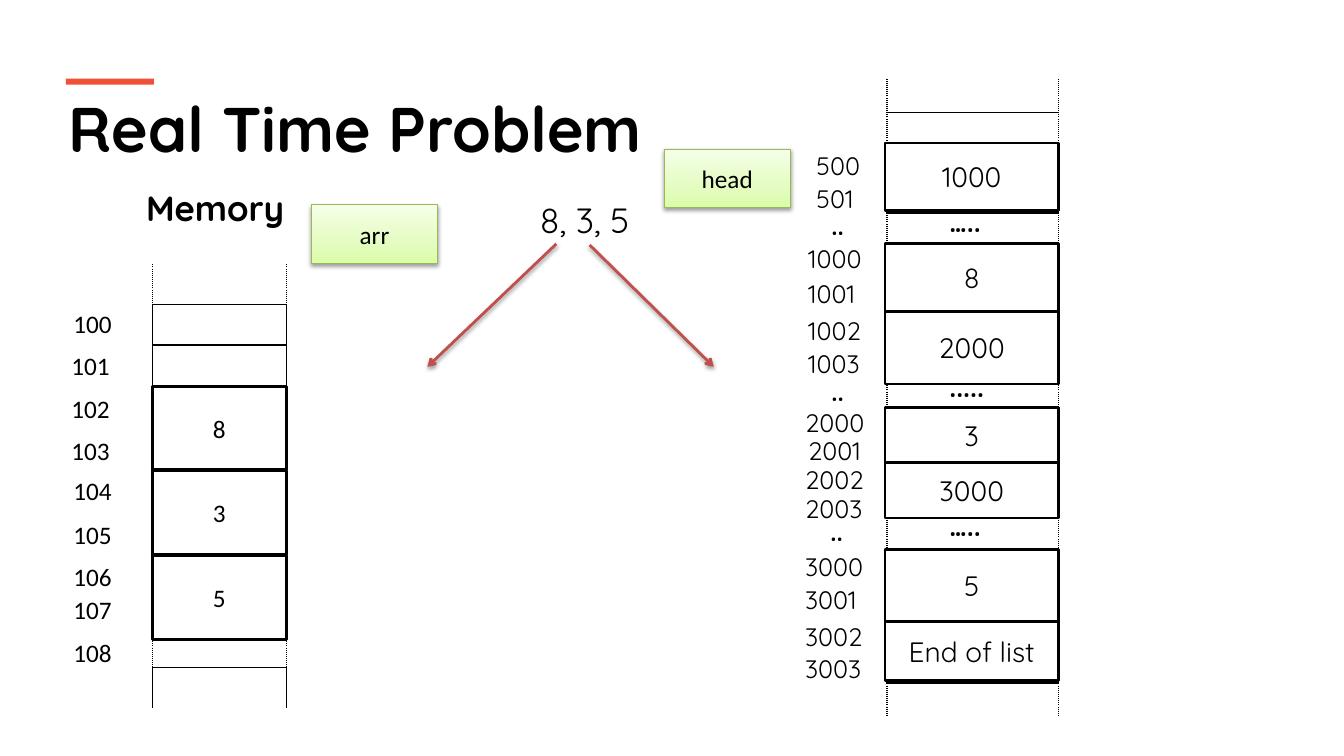
"""Build a slide comparing array and linked-list storage in memory."""
from dataclasses import dataclass

from lxml import etree
from pptx import Presentation
from pptx import util as u
from pptx.dml.color import RGBColor
from pptx.enum import shapes, text
from pptx.oxml import parse_xml
from pptx.oxml.ns import nsdecls, qn

COLORS = {"ink": "000000", "paper": "FFFFFF", "accent": "F05136", "arrow": "C0504D",
          "edge": "98B955", "lime": "DAFDA7", "mid": "E4FCC2", "pale": "F5FFE7"}
DISPLAY, BODY = "Quicksand", "Calibri"


@dataclass
class Label:
    text: str
    x: float
    y: float
    w: float
    h: float = 28.8
    size: float = 18
    font: str = DISPLAY
    bold: bool = False
    wrap: bool = False
    align: text.PP_ALIGN = text.PP_ALIGN.LEFT


@dataclass
class Box:
    text: str
    x: float
    y: float
    w: float
    h: float
    size: float = 18
    font: str = BODY
    fill: str = "paper"
    line: str = "ink"
    weight: float = 2
    glow: bool = False


@dataclass
class Column:
    x: float
    y: float
    w: float
    row_h: float
    rows: int
    framed: range
    dotted: tuple


@dataclass
class Arrow:
    x1: float
    y1: float
    x2: float
    y2: float


def rgb(name: str) -> RGBColor:
    return RGBColor.from_string(COLORS[name])


def pts(*values: float) -> list:
    return [u.Pt(v) for v in values]


def apply(target: object, values: dict) -> None:
    for key, value in values.items():
        setattr(target, key, value)


def write(tf, item, align) -> None:
    p = tf.paragraphs[0]
    p.alignment = align
    r = p.add_run()
    r.text = item.text
    apply(r.font, {"size": u.Pt(item.size), "name": item.font,
                   "bold": getattr(item, "bold", False)})
    r.font.color.rgb = rgb("ink")


def add_label(s, d: Label) -> None:
    tf = s.shapes.add_textbox(*pts(d.x, d.y, d.w, d.h)).text_frame
    apply(tf, {"word_wrap": d.wrap, "auto_size": text.MSO_AUTO_SIZE.SHAPE_TO_FIT_TEXT})
    write(tf, d, d.align)


def add_shadow(sp) -> None:
    sp._element.spPr.append(parse_xml(
        f'<a:effectLst {nsdecls("a")}><a:outerShdw blurRad="{u.Pt(3.1)}" dist="{u.Pt(1.6)}" '
        'dir="5400000" rotWithShape="0"><a:srgbClr val="000000"><a:alpha val="38000"/>'
        '</a:srgbClr></a:outerShdw></a:effectLst>'))


def add_gradient(sp) -> None:
    sp.fill.gradient()
    sp.fill.gradient_angle = 90
    stops = sp._element.spPr.find(".//" + qn("a:gsLst"))
    for stop in list(stops):
        stops.remove(stop)
    for pos, name in ((0, "lime"), (35, "mid"), (100, "pale")):
        gs = etree.SubElement(stops, qn("a:gs"), pos=str(pos * 1000))
        etree.SubElement(gs, qn("a:srgbClr"), val=COLORS[name])


def add_box(s, d: Box) -> None:
    sp = s.shapes.add_shape(shapes.MSO_SHAPE.RECTANGLE, *pts(d.x, d.y, d.w, d.h))
    if d.glow:
        add_gradient(sp)
    else:
        sp.fill.solid()
        sp.fill.fore_color.rgb = rgb(d.fill)
    if d.weight:
        sp.line.color.rgb = rgb(d.line)
        sp.line.width = u.Pt(d.weight)
    else:
        sp.line.fill.background()
    if d.glow:
        add_shadow(sp)
    else:
        sp.shadow.inherit = False
    if d.text:
        sp.text_frame.vertical_anchor = text.MSO_ANCHOR.MIDDLE
        write(sp.text_frame, d, text.PP_ALIGN.CENTER)


def set_border(tcpr, side: str, shown: bool, dotted: bool) -> None:
    ln = etree.SubElement(tcpr, qn("a:ln" + side), w=str(u.Pt(1)))
    if not shown:
        etree.SubElement(ln, qn("a:noFill"))
        return
    fill = etree.SubElement(ln, qn("a:solidFill"))
    etree.SubElement(fill, qn("a:srgbClr"), val=COLORS["ink"])
    etree.SubElement(ln, qn("a:prstDash"), val="sysDot" if dotted else "solid")


def add_column(s, d: Column) -> None:
    tbl = s.shapes.add_table(d.rows, 1, *pts(d.x, d.y, d.w, d.row_h * d.rows)).table
    apply(tbl, {"first_row": False, "horz_banding": False})
    for i, row in enumerate(tbl.rows):
        row.height = u.Pt(d.row_h)
        cell = row.cells[0]
        apply(cell, {"margin_top": 0, "margin_bottom": 0})
        tcpr = cell._tc.get_or_add_tcPr()
        framed = i in d.framed
        shown = {"L": framed, "R": framed, "T": framed and i > d.framed[0],
                 "B": framed and i < d.framed[-1]}
        for side, on in shown.items():
            set_border(tcpr, side, on, side in "LR" and i in d.dotted)
        cell.fill.background()


def add_arrow(s, d: Arrow) -> None:
    sp = s.shapes.add_connector(shapes.MSO_CONNECTOR.STRAIGHT, *pts(d.x1, d.y1, d.x2, d.y2))
    sp.line.color.rgb = rgb("arrow")
    sp.line.width = u.Pt(2)
    etree.SubElement(sp.line._get_or_add_ln(), qn("a:tailEnd"), type="arrow")
    add_shadow(sp)


ARRAY_ADDRESSES = [216.7, 247, 277.2, 307.4, 336.2, 367.2, 397.4, 421.2, 451.4]
LIST_ADDRESSES = [
    ("500", 576, 103.7), ("501", 576, 127.4), ("1000", 570.2, 170.6), ("1001", 570.2, 195.1),
    ("1002", 570.2, 221.8), ("1003", 570.2, 245.5), ("2000", 568, 287.3),
    ("2001", 570.2, 307.4), ("2002", 568, 328.3), ("2003", 568, 348.5), ("3000", 568, 390.2),
    ("3001", 568, 414), ("3002", 568, 440.6), ("3003", 568, 463)]
LIST_CELLS = [("1000", 102.2, 48.2), ("8", 174.2, 48.2), ("2000", 222.5, 51.8),
              ("3", 290.9, 39.6), ("3000", 330.5, 39.6), ("5", 392.4, 51.8),
              ("End of list", 444.2, 41.8)]
GAPS = [("…..", 586.8, 146.9, 142.6), (".....", 586.8, 265, 260.6), ("…..", 586, 365, 360)]


def main() -> None:
    prs = Presentation()
    apply(prs, {"slide_width": u.Pt(960), "slide_height": u.Pt(540)})
    s = prs.slides.add_slide(prs.slide_layouts[6])
    add_label(s, Label("Real Time Problem", 41.8, 60.5, 877, 61.9, 45, bold=True, wrap=True))
    add_box(s, Box("", 47, 56.2, 63, 4.3, fill="accent", weight=0))
    add_column(s, Column(633.6, 56.2, 122.4, 24, 19, range(19), tuple(range(19))))
    add_column(s, Column(108.7, 160, 95.8, 28.8, 13, range(1, 12), (1, 10)))
    add_label(s, Label("Memory", 97.2, 129.6, 118, 37.4, 25, bold=True, wrap=True))
    add_label(s, Label("8, 3, 5", 378.5, 138.2, 85, 37.4, 25, wrap=True))
    for i, y in enumerate(ARRAY_ADDRESSES):
        x = 44 if i in (1, 2, 3) else 45.4
        add_label(s, Label(str(100 + i), x, y, 44, font=BODY))
    for name, x, y in LIST_ADDRESSES:
        add_label(s, Label(name, x, y, 46.8 if len(name) == 3 else 58.3))
    for name, y, h in LIST_CELLS:
        add_box(s, Box(name, 632.2, y, 123.8, h, 20, DISPLAY))
    for dots, x, y, dots_y in GAPS:
        add_label(s, Label("..", x, y, 23.8, bold=True))
        add_label(s, Label(dots, 671, dots_y, 39.6, 31.7, 20, bold=True))
    for i, value in enumerate("835"):
        add_box(s, Box(value, 108.7, 275.8 + 60.5 * i, 95.8, 59.8))
    for name, x, y in (("head", 474.5, 106.6), ("arr", 222.5, 146.2)):
        add_box(s, Box(name, x, y, 90, 41.8, line="edge", weight=0.75, glow=True))
    for arrow in (Arrow(397.4, 174.2, 305.3, 262), Arrow(421.2, 175, 509.8, 262)):
        add_arrow(s, arrow)
    prs.save("out.pptx")


if __name__ == "__main__":
    main()
